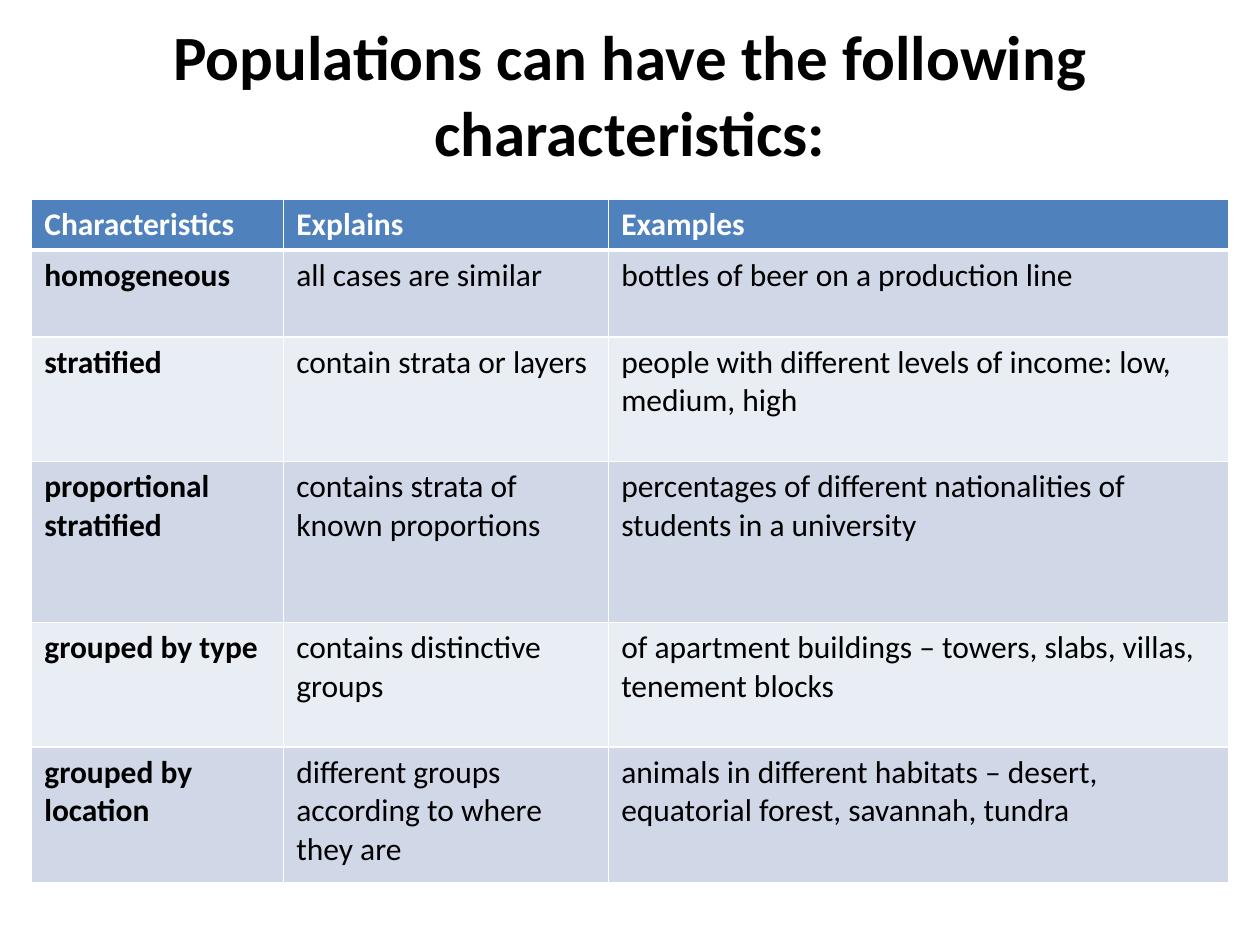
from dataclasses import dataclass

from lxml.etree import SubElement
from pptx import Presentation
from pptx.dml.color import RGBColor
from pptx.enum.text import MSO_ANCHOR, PP_ALIGN
from pptx.oxml.ns import qn
from pptx.util import Cm, Pt


@dataclass(frozen=True)
class Theme:
    font: str = "Calibri"
    title: int = 36
    body: int = 18
    ink: str = "000000"
    white: str = "FFFFFF"
    head: str = "4F81BD"
    bands: tuple[str, str] = ("D0D8E8", "E9EDF4")
    thin: int = 1
    thick: int = 3


@dataclass(frozen=True)
class Row:
    height: float
    trait: str
    meaning: str
    example: str


THEME = Theme()
WIDTHS = (5.08, 6.55, 12.5)
ROWS = (
    Row(1.02, "Characteristics", "Explains", "Examples"),
    Row(1.75, "homogeneous", "all cases are similar",
        "bottles of beer on a production line"),
    Row(2.51, "stratified", "contain strata or layers",
        "people with different levels of income: low, medium, high"),
    Row(3.25, "proportional stratified", "contains strata of known proportions",
        "percentages of different nationalities of students in a university"),
    Row(2.51, "grouped by type", "contains distinctive groups",
        "of apartment buildings – towers, slabs, villas, tenement blocks"),
    Row(2.74, "grouped by location", "different groups according to where they are",
        "animals in different habitats – desert, equatorial forest, savannah, tundra"),
)


def style(para, size: int, color: str, bold: bool) -> None:
    font = para.font
    font.name = THEME.font
    font.size = Pt(size)
    font.bold = bold
    font.color.rgb = RGBColor.from_string(color)


def border(cell, side: str, width: int) -> None:
    line = SubElement(cell._tc.get_or_add_tcPr(), qn(f"a:ln{side}"), w=str(Pt(width)))
    fill = SubElement(line, qn("a:solidFill"))
    SubElement(fill, qn("a:srgbClr"), val=THEME.white)


def add_title(slide, text: str) -> None:
    box = slide.shapes.add_textbox(Cm(1.27), Cm(0.29), Cm(22.86), Cm(3.18))
    frame = box.text_frame
    frame.word_wrap = True
    frame.vertical_anchor = MSO_ANCHOR.MIDDLE
    para = frame.paragraphs[0]
    para.text = text
    para.alignment = PP_ALIGN.CENTER
    style(para, THEME.title, THEME.ink, True)


def fill_cell(cell, text: str, row: int, col: int) -> None:
    head = row == 0
    cell.text = text
    style(cell.text_frame.paragraphs[0], THEME.body,
          THEME.white if head else THEME.ink, head or col == 0)
    for side in "LRTB":
        heavy = (row, side) in ((0, "B"), (1, "T"))
        border(cell, side, THEME.thick if heavy else THEME.thin)
    shade = THEME.head if head else THEME.bands[(row - 1) % 2]
    cell.fill.solid()
    cell.fill.fore_color.rgb = RGBColor.from_string(shade)


def add_grid(slide, rows: tuple[Row, ...]) -> None:
    table = slide.shapes.add_table(
        len(rows), len(WIDTHS), Cm(0.64), Cm(4.02),
        Cm(sum(WIDTHS)), Cm(sum(row.height for row in rows))).table
    for col, width in enumerate(WIDTHS):
        table.columns[col].width = Cm(width)
    for num, row in enumerate(rows):
        table.rows[num].height = Cm(row.height)
        for col, text in enumerate((row.trait, row.meaning, row.example)):
            fill_cell(table.cell(num, col), text, num, col)


def main() -> None:
    deck = Presentation()
    deck.slide_width, deck.slide_height = Cm(25.4), Cm(19.05)
    slide = deck.slides.add_slide(deck.slide_layouts[6])
    add_title(slide, "Populations can have the following characteristics:")
    add_grid(slide, ROWS)
    deck.save("out.pptx")


if __name__ == "__main__":
    main()
